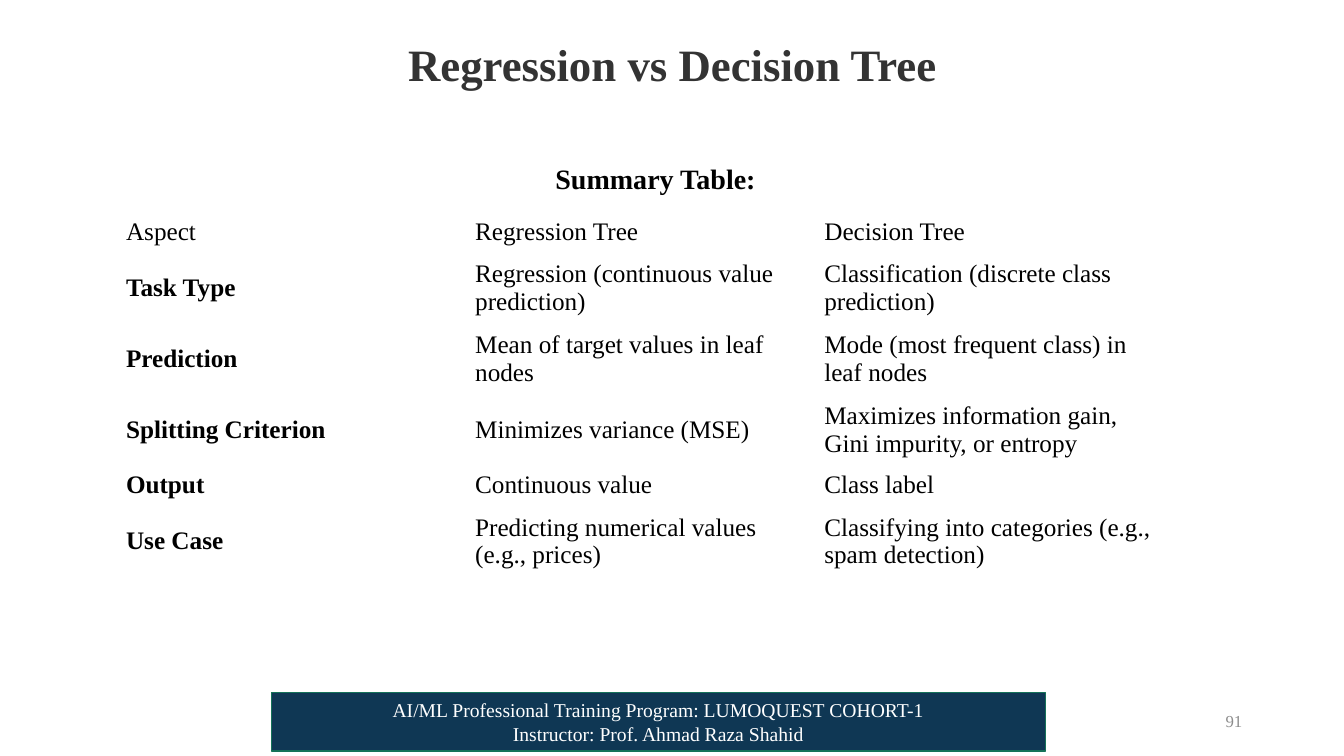
from pptx import Presentation
from pptx.dml.color import RGBColor
from pptx.enum.shapes import MSO_SHAPE
from pptx.enum.text import MSO_ANCHOR, PP_ALIGN
from pptx.util import Pt

PX = 9144
COLORS = {
    "title": "333333",
    "ink": "000000",
    "muted": "8C8C8C",
    "banner": "0F3754",
    "edge": "157259",
    "light": "FFFFFF",
}
ROWS = [
    ("Aspect", "Regression Tree", "Decision Tree"),
    ("Task Type", "Regression (continuous value prediction)",
     "Classification (discrete class prediction)"),
    ("Prediction", "Mean of target values in leaf nodes",
     "Mode (most frequent class) in leaf nodes"),
    ("Splitting Criterion", "Minimizes variance (MSE)",
     "Maximizes information gain, Gini impurity, or entropy"),
    ("Output", "Continuous value", "Class label"),
    ("Use Case", "Predicting numerical values (e.g., prices)",
     "Classifying into categories (e.g., spam detection)"),
]
HEIGHTS = [41, 70, 70, 70, 41, 70]


class Deck:
    """Holds the text style and the current slide, and adds elements in px."""

    def __init__(self, wide, high, font):
        self.prs = Presentation()
        self.prs.slide_width, self.prs.slide_height = wide * PX, high * PX
        self.font = font
        self.slide = self.prs.slides.add_slide(self.prs.slide_layouts[5])

    def color(self, name):
        return RGBColor.from_string(COLORS[name])

    def style(self, frame, text, size, color, bold=False,
              align=PP_ALIGN.LEFT, anchor=MSO_ANCHOR.MIDDLE):
        frame.text = text
        frame.word_wrap = True
        frame.vertical_anchor = anchor
        for para in frame.paragraphs:
            para.alignment = align
            for run in para.runs:
                run.font.name = self.font
                run.font.size = Pt(size)
                run.font.bold = bold
                run.font.color.rgb = self.color(color)

    def title(self, box, text, size):
        head = self.slide.shapes.title
        head.left, head.top, head.width, head.height = [n * PX for n in box]
        self.style(head.text_frame, text, size, "title", True, PP_ALIGN.CENTER)
        para = head.text_frame.paragraphs[0]
        para.line_spacing = 0.9
        para.space_before = Pt(10)

    def label(self, box, text, size, color, **looks):
        area = self.slide.shapes.add_textbox(*[n * PX for n in box])
        self.style(area.text_frame, text, size, color, **looks)

    def banner(self, box, text, size):
        bar = self.slide.shapes.add_shape(
            MSO_SHAPE.RECTANGLE, *[n * PX for n in box])
        bar.shadow.inherit = False
        bar.fill.solid()
        bar.fill.fore_color.rgb = self.color("banner")
        bar.line.color.rgb = self.color("edge")
        bar.line.width = Pt(1)
        self.style(bar.text_frame, text, size, "light", align=PP_ALIGN.CENTER)

    def table(self, box, rows, heights, size):
        grid = self.slide.shapes.add_table(
            len(rows), len(rows[0]), *[n * PX for n in box]).table
        grid.first_row = grid.horz_banding = False
        for r, (row, height) in enumerate(zip(rows, heights)):
            grid.rows[r].height = height * PX
            for c, text in enumerate(row):
                cell = grid.cell(r, c)
                cell.fill.background()
                self.style(cell.text_frame, text, size, "ink",
                           bold=r > 0 and c == 0)
                cell.vertical_anchor = MSO_ANCHOR.MIDDLE


def main():
    deck = Deck(1333, 750, "Times New Roman")
    deck.title((92, 0, 1150, 133), "Regression vs Decision Tree", 32)
    deck.label((942, 695, 300, 40), "91", 12, "muted", align=PP_ALIGN.RIGHT)
    deck.banner(
        (269, 687, 768, 58),
        "AI/ML Professional Training Program: LUMOQUEST COHORT-1\n"
        "Instructor: Prof. Ahmad Raza Shahid", 14)
    deck.table((115, 210, 1039, sum(HEIGHTS)), ROWS, HEIGHTS, 18)
    deck.label((541, 155, 220, 74), "Summary Table:", 20, "ink",
               bold=True, anchor=MSO_ANCHOR.TOP)
    deck.prs.save("out.pptx")


if __name__ == "__main__":
    main()
